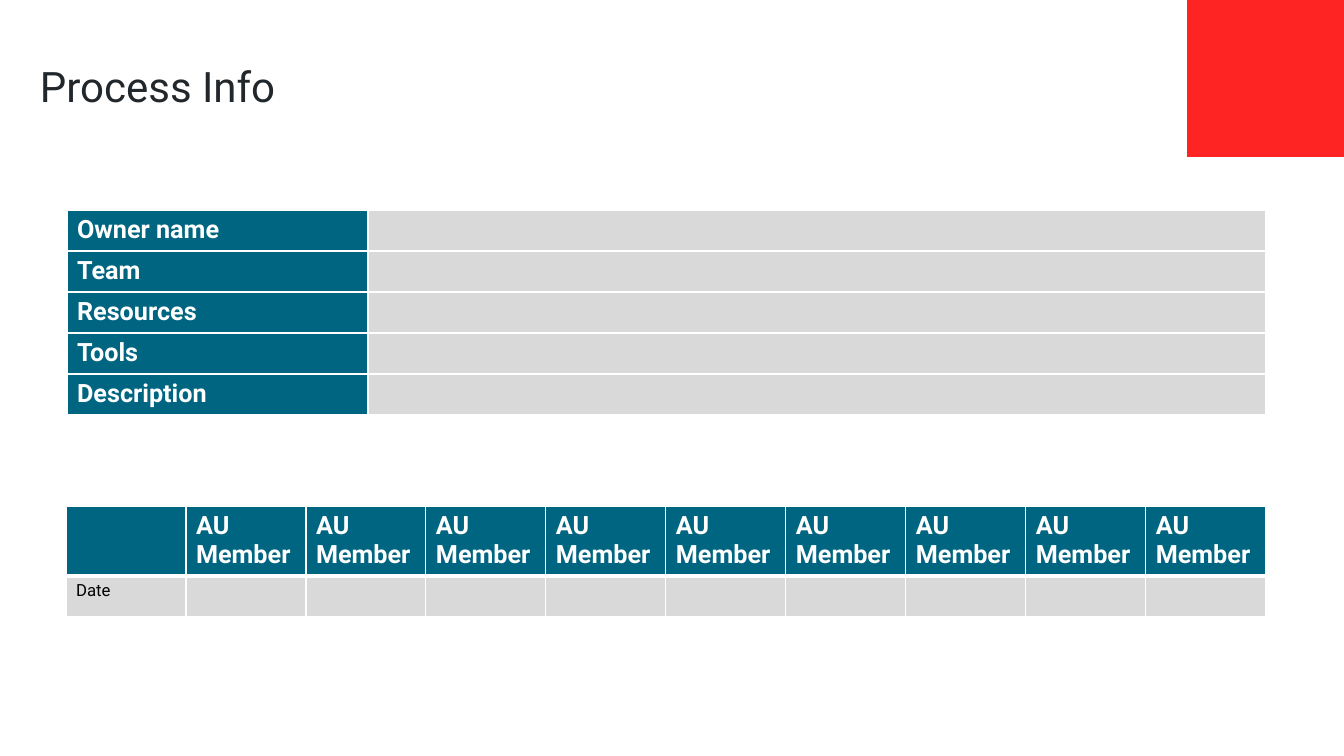
from lxml.etree import SubElement
from pptx import Presentation
from pptx.dml.color import RGBColor
from pptx.enum.shapes import MSO_SHAPE as Shape
from pptx.enum.text import MSO_ANCHOR as Anchor
from pptx.oxml.ns import qn
from pptx.util import Pt

PX = 914400 / 100.8  # EMU per px
FONT = "Roboto"
RED = RGBColor(0xFF, 0x24, 0x24)
TEAL = RGBColor(0x00, 0x65, 0x80)
GREY = RGBColor(0xD9, 0xD9, 0xD9)
INK = RGBColor(0x22, 0x27, 0x2B)
BLACK = RGBColor(0, 0, 0)
WHITE = RGBColor(0xFF, 0xFF, 0xFF)


def px(length):
    return round(length * PX)


def write(text_frame, text, size=18, color=WHITE, bold=True, line_spacing=None):
    paragraph = text_frame.paragraphs[0]
    paragraph.line_spacing = line_spacing
    run = paragraph.add_run()
    run.text = text
    font = run.font
    font.name, font.size, font.bold = FONT, Pt(size), bold
    font.color.rgb = color


def style_cell(cell, fill, top=1, bottom=1):
    """Give a cell its fill and white borders, widths in points."""
    properties = cell._tc.get_or_add_tcPr()
    for side, width in (("L", 1), ("R", 1), ("T", top), ("B", bottom)):
        line = SubElement(properties, qn(f"a:ln{side}"), w=str(Pt(width)))
        solid = SubElement(line, qn("a:solidFill"))
        SubElement(solid, qn("a:srgbClr"), val=str(WHITE))
    cell.fill.solid()
    cell.fill.fore_color.rgb = fill


def add_plain_table(slide, left, top, widths, heights):
    frame = slide.shapes.add_table(
        len(heights), len(widths), px(left), px(top),
        px(sum(widths)), px(sum(heights)))
    table = frame.table
    table.first_row = table.horz_banding = False
    for column, width in zip(table.columns, widths):
        column.width = px(width)
    for row, height in zip(table.rows, heights):
        row.height = px(height)
    return table


def add_title(slide, left, top, width, height):
    box = slide.shapes.add_textbox(px(left), px(top), px(width), px(height))
    frame = box.text_frame
    frame.word_wrap = True
    frame.vertical_anchor = Anchor.BOTTOM
    frame.margin_left = frame.margin_right = 0
    frame.margin_top = frame.margin_bottom = 0
    write(frame, "Process Info", size=30, color=INK, bold=False, line_spacing=1.1)


def add_corner_block(slide, left, top, side):
    block = slide.shapes.add_shape(
        Shape.RECTANGLE, px(left), px(top), px(side), px(side))
    block.shadow.inherit = False
    block.fill.solid()
    block.fill.fore_color.rgb = RED
    block.line.fill.background()


def add_process_table(slide, left, top, width, row_height):
    labels = ["Owner name", "Team", "Resources", "Tools", "Description"]
    label_width = 301
    table = add_plain_table(slide, left, top, [label_width, width - label_width],
                            [row_height] * len(labels))
    for row, label in enumerate(labels):
        style_cell(table.cell(row, 0), TEAL)
        style_cell(table.cell(row, 1), GREY)
        write(table.cell(row, 0).text_frame, label)


def add_member_table(slide, left, top, width, header_height, row_height):
    members = 9
    columns = members + 1
    table = add_plain_table(slide, left, top, [width // columns] * columns,
                            [header_height, row_height])
    for column in range(columns):
        header = table.cell(0, column)
        style_cell(header, TEAL, bottom=3)
        style_cell(table.cell(1, column), GREY, top=3)
        if column:
            write(header.text_frame, "AU Member")
    write(table.cell(1, 0).text_frame, "Date", size=12, color=BLACK, bold=False)


def main():
    presentation = Presentation()
    presentation.slide_width = px(1344)
    presentation.slide_height = px(756)
    slide = presentation.slides.add_slide(presentation.slide_layouts[6])
    add_corner_block(slide, left=1187, top=-1, side=158)
    add_process_table(slide, left=67, top=210, width=1199, row_height=41)
    add_member_table(slide, left=66, top=506, width=1200,
                     header_height=70, row_height=41)
    add_title(slide, left=40, top=12, width=1170, height=99)
    presentation.save("out.pptx")


if __name__ == "__main__":
    main()
